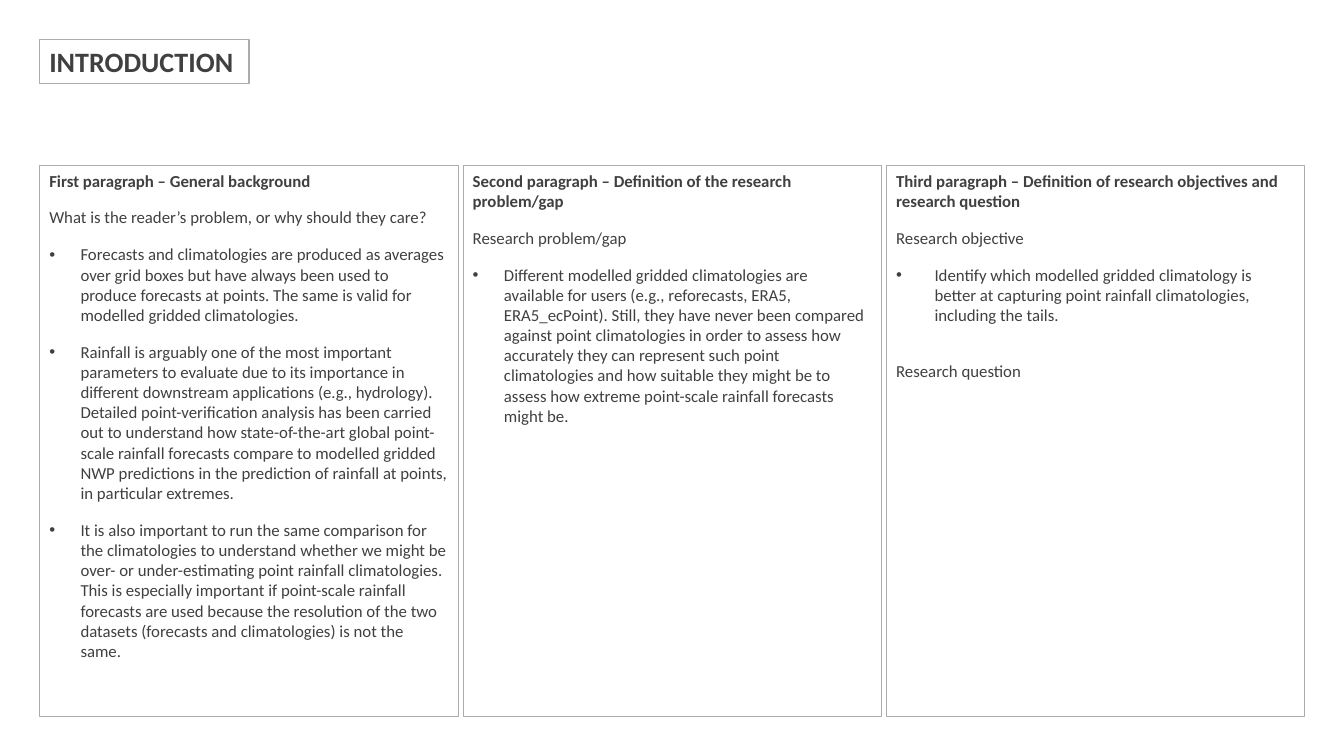
from dataclasses import dataclass

from lxml.etree import SubElement
from pptx import Presentation
from pptx.dml.color import RGBColor
from pptx.enum.shapes import MSO_SHAPE
from pptx.enum.text import MSO_ANCHOR, PP_ALIGN
from pptx.oxml.ns import qn
from pptx.util import Inches, Pt


@dataclass(frozen=True)
class Theme:
    font: str = "Calibri"
    text: RGBColor = RGBColor(0x40, 0x40, 0x40)
    border: RGBColor = RGBColor(0xAF, 0xAB, 0xAB)
    title_size: Pt = Pt(20)
    body_size: Pt = Pt(12)
    gap: Pt = Pt(12)
    question_gap: Pt = Pt(26)


theme = Theme()


def add_frame(page, left, top, width, height, border_width):
    """Add an unfilled, outlined rectangle whose text starts at the top."""
    box = page.shapes.add_shape(
        MSO_SHAPE.RECTANGLE, Inches(left), Inches(top), Inches(width), Inches(height))
    box.shadow.inherit = False
    box.fill.background()
    box.line.color.rgb = theme.border
    box.line.width = Pt(border_width)
    box.text_frame.word_wrap = True
    box.text_frame.vertical_anchor = MSO_ANCHOR.TOP
    return box


def write_paragraph(para, text, size, bold=False, space=Pt(0), indent=None):
    """Write one paragraph; an indent in inches makes it a bullet."""
    para.text = text
    para.alignment = PP_ALIGN.LEFT
    para.space_before = space
    if indent:
        properties = para._p.get_or_add_pPr()
        properties.set("marL", str(Inches(indent)))
        properties.set("indent", str(-Inches(indent)))
        SubElement(properties, qn("a:buFont"), typeface="Arial")
        SubElement(properties, qn("a:buChar"), char="•")
    para.font.name = theme.font
    para.font.size = size
    para.font.bold = bold
    para.font.color.rgb = theme.text


# Each column: heading, then (text, space before, bullet indent)
columns = [
    ("First paragraph – General background", [
        ("What is the reader’s problem, or why should they care?", theme.gap, None),
        ("Forecasts and climatologies are produced as averages over grid boxes but have "
         "always been used to produce forecasts at points. The same is valid for modelled "
         "gridded climatologies.", theme.gap, 0.31),
        ("Rainfall is arguably one of the most important parameters to evaluate due to its "
         "importance in different downstream applications (e.g., hydrology). Detailed "
         "point-verification analysis has been carried out to understand how "
         "state-of-the-art global point-scale rainfall forecasts compare to modelled "
         "gridded NWP predictions in the prediction of rainfall at points, in particular "
         "extremes.", theme.gap, 0.31),
        ("It is also important to run the same comparison for the climatologies to "
         "understand whether we might be over- or under-estimating point rainfall "
         "climatologies. This is especially important if point-scale rainfall forecasts "
         "are used because the resolution of the two datasets (forecasts and "
         "climatologies) is not the same.", theme.gap, 0.31),
    ]),
    ("Second paragraph – Definition of the research problem/gap", [
        ("Research problem/gap", theme.gap, None),
        ("Different modelled gridded climatologies are available for users (e.g., "
         "reforecasts, ERA5, ERA5_ecPoint). Still, they have never been compared against "
         "point climatologies in order to assess how accurately they can represent such "
         "point climatologies and how suitable they might be to assess how extreme "
         "point-scale rainfall forecasts might be.", theme.gap, 0.31),
    ]),
    ("Third paragraph – Definition of research objectives and research question", [
        ("Research objective", theme.gap, None),
        ("Identify which modelled gridded climatology is better at capturing point "
         "rainfall climatologies, including the tails.", theme.gap, 0.38),
        ("Research question", theme.question_gap, None),
    ]),
]

deck = Presentation()
deck.slide_width, deck.slide_height = Inches(13.33), Inches(7.5)
page = deck.slides.add_slide(deck.slide_layouts[6])

margin, column_width, column_gap = 0.39, 4.15, 0.05

title = add_frame(page, margin, margin, 2.08, 0.44, 0.75)
write_paragraph(title.text_frame.paragraphs[0], "INTRODUCTION", theme.title_size, bold=True)

for index, (heading, entries) in enumerate(columns):
    left = margin + index * (column_width + column_gap)
    column = add_frame(page, left, 1.64, column_width, 5.47, 0.25)
    frame = column.text_frame
    write_paragraph(frame.paragraphs[0], heading, theme.body_size, bold=True)
    for text, space, indent in entries:
        write_paragraph(frame.add_paragraph(), text, theme.body_size,
                        space=space, indent=indent)

deck.save("out.pptx")
